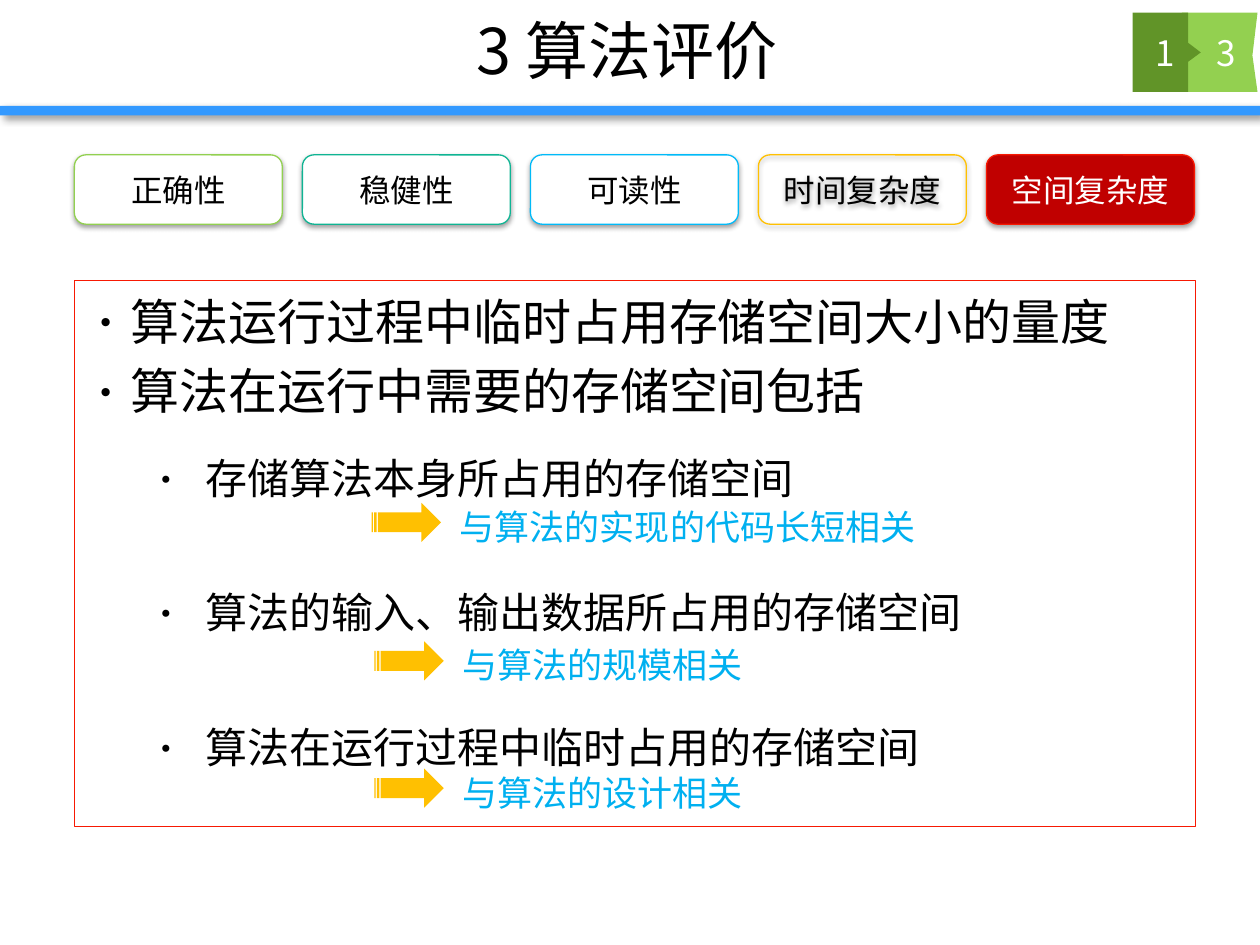
from typing import NamedTuple, Optional

from lxml.etree import SubElement
from pptx import Presentation
from pptx.dml.color import RGBColor as Rgb
from pptx.enum.shapes import MSO_SHAPE as Shape
from pptx.enum.text import MSO_ANCHOR as Anchor, PP_ALIGN as Align
from pptx.oxml.ns import qn
from pptx.util import Pt

FONT = "Noto Sans CJK SC"
COLORS = {
    "black": "000000", "white": "FFFFFF", "bar": "3399FF",
    "light_green": "93D050", "dark_green": "619428", "green": "92D050",
    "teal": "0FB493", "sky": "01BAF8", "amber": "FFC001",
    "red": "F71903", "dark_red": "C00000", "note": "00B0F0",
}


class Area(NamedTuple):
    left: float
    top: float
    width: float
    height: float


class Shadow(NamedTuple):
    alpha: int
    blur: float
    distance: float
    angle: int


class Chip(NamedTuple):
    text: str
    line: str
    fill: Optional[str] = "white"
    color: str = "black"


class Bullet(NamedTuple):
    text: str
    level: int
    line_height: float


class Level(NamedTuple):
    size: float
    margin: float
    hanging: float


class Note(NamedTuple):
    text: str
    left: float
    top: float


BAR_SHADOW = Shadow(40, 4, 3, 45)
CHIP_SHADOW = Shadow(38, 3.1, 1.6, 90)
LEVELS = [Level(28, 25.2, 25.2), Level(24, 67.7, 31.7)]
CHIP_AREA = Area(42.5, 88.5, 118.8, 39.6)
CHIP_PITCH = 130.3

CHIPS = [
    Chip("正确性", "green"),
    Chip("稳健性", "teal"),
    Chip("可读性", "sky"),
    Chip("时间复杂度", "amber", None),
    Chip("空间复杂度", "red", "dark_red", "white"),
]
BULLETS = [
    Bullet("算法运行过程中临时占用存储空间大小的量度", 0, 36),
    Bullet("算法在运行中需要的存储空间包括", 0, 34),
    Bullet("存储算法本身所占用的存储空间", 1, 43),
    Bullet("算法的输入、输出数据所占用的存储空间", 1, 72),
    Bullet("算法在运行过程中临时占用的存储空间", 1, 72),
]
NOTES = [
    Note("与算法的实现的代码长短相关", 212.4, 287.3),
    Note("与算法的规模相关", 214, 366.5),
    Note("与算法的设计相关", 214, 439.2),
]
TAGS = [
    ("light_green", [(675.4, 7.2), (718.6, 7.2), (715.7, 31.7),
                     (718.6, 52.6), (675.4, 52.6)]),
    ("dark_green", [(647.3, 7.2), (679, 7.2), (679, 24.5), (686.2, 30),
                    (679, 35.3), (679, 52.6), (647.3, 52.6)]),
]


def color_of(name: str) -> Rgb:
    return Rgb.from_string(COLORS[name])


def place(box, area: Area) -> None:
    box.left, box.top, box.width, box.height = map(Pt, area)


def add_span(para, text: str, size: float, color: str) -> None:
    span = para.add_run()
    span.text = text
    span.font.name = FONT
    span.font.size = Pt(size)
    span.font.color.rgb = color_of(color)
    SubElement(span.font._element, qn("a:ea"), typeface=FONT)


def paint(box, fill: Optional[str], line: Optional[str] = None) -> None:
    box.shadow.inherit = False
    if fill:
        box.fill.solid()
        box.fill.fore_color.rgb = color_of(fill)
    else:
        box.fill.background()
    if line:
        box.line.color.rgb = color_of(line)
        box.line.width = Pt(0.75)
    else:
        box.line.fill.background()


def cast_shadow(box, shadow: Shadow) -> None:
    effects = box._element.spPr.find(qn("a:effectLst"))
    outer = SubElement(effects, qn("a:outerShdw"),
                       blurRad=str(Pt(shadow.blur)), dist=str(Pt(shadow.distance)),
                       dir=str(shadow.angle * 60000), algn="ctr", rotWithShape="0")
    tint = SubElement(outer, qn("a:srgbClr"), val=COLORS["black"])
    SubElement(tint, qn("a:alpha"), val=str(shadow.alpha * 1000))


def write_centered(box, text: str, size: float, color: str) -> None:
    frame = box.text_frame
    frame.word_wrap = True
    frame.vertical_anchor = Anchor.MIDDLE
    para = frame.paragraphs[0]
    para.alignment = Align.CENTER
    add_span(para, text, size, color)


def add_box(page, kind, area: Area, fill: Optional[str], line: Optional[str] = None):
    box = page.shapes.add_shape(kind, *map(Pt, area))
    paint(box, fill, line)
    return box


def add_tag(page, color: str, points: list) -> None:
    corners = [(Pt(x), Pt(y)) for x, y in points]
    builder = page.shapes.build_freeform(*corners[0], scale=1.0)
    builder.add_line_segments(corners[1:], close=True)
    paint(builder.convert_to_shape(), color)


def add_number(page, text: str, left: float) -> None:
    box = page.shapes.add_textbox(*map(Pt, Area(left, 7.2, 44.6, 45.4)))
    write_centered(box, text, 20, "white")


def add_chip(page, chip: Chip, index: int) -> None:
    area = CHIP_AREA._replace(left=CHIP_AREA.left + index * CHIP_PITCH)
    box = add_box(page, Shape.ROUNDED_RECTANGLE, area, chip.fill, chip.line)
    cast_shadow(box, CHIP_SHADOW)
    write_centered(box, chip.text, 18, chip.color)


def add_bullets(page, area: Area, bullets: list) -> None:
    frame = add_box(page, Shape.RECTANGLE, area, None, "red").text_frame
    frame.word_wrap = True
    frame.vertical_anchor = Anchor.TOP
    for index, bullet in enumerate(bullets):
        level = LEVELS[bullet.level]
        para = frame.add_paragraph() if index else frame.paragraphs[0]
        props = para._p.get_or_add_pPr()
        props.set("marL", str(Pt(level.margin)))
        props.set("indent", str(-Pt(level.hanging)))
        SubElement(props, qn("a:buSzPct"), val="80000")
        SubElement(props, qn("a:buFont"), typeface=FONT)
        SubElement(props, qn("a:buChar"), char="•")
        para.level = bullet.level
        para.alignment = Align.LEFT
        para.line_spacing = Pt(bullet.line_height)
        para.space_before = Pt(level.size * 0.2 if index else 0)
        add_span(para, bullet.text, level.size, "black")


def add_note(page, note: Note) -> None:
    arrow = add_box(page, Shape.STRIPED_RIGHT_ARROW,
                    Area(note.left, note.top, 39.6, 22.3), "amber")
    arrow.adjustments[0] = 0.51
    area = Area(note.left + 43.2, note.top - 3.6, 414, 31.7)
    frame = page.shapes.add_textbox(*map(Pt, area)).text_frame
    frame.word_wrap = True
    para = frame.paragraphs[0]
    para.line_spacing = Pt(25.5)
    add_span(para, note.text, 20, "note")


def main() -> None:
    deck = Presentation()
    deck.slide_width, deck.slide_height = Pt(720), Pt(540)
    page = deck.slides.add_slide(deck.slide_layouts[5])

    title = page.shapes.title
    place(title, Area(70.6, 0.7, 575.3, 55.4))
    write_centered(title, "3 算法评价", 36, "black")

    bar = add_box(page, Shape.RECTANGLE, Area(0, 60.5, 720, 5.5), "bar")
    cast_shadow(bar, BAR_SHADOW)
    for color, points in TAGS:
        add_tag(page, color, points)
    add_number(page, "3", 678.2)
    add_number(page, "1", 643.7)

    for index, chip in enumerate(CHIPS):
        add_chip(page, chip, index)
    add_bullets(page, Area(42.5, 160.5, 640.8, 311.8), BULLETS)
    for note in NOTES:
        add_note(page, note)
    deck.save("out.pptx")


if __name__ == "__main__":
    main()
